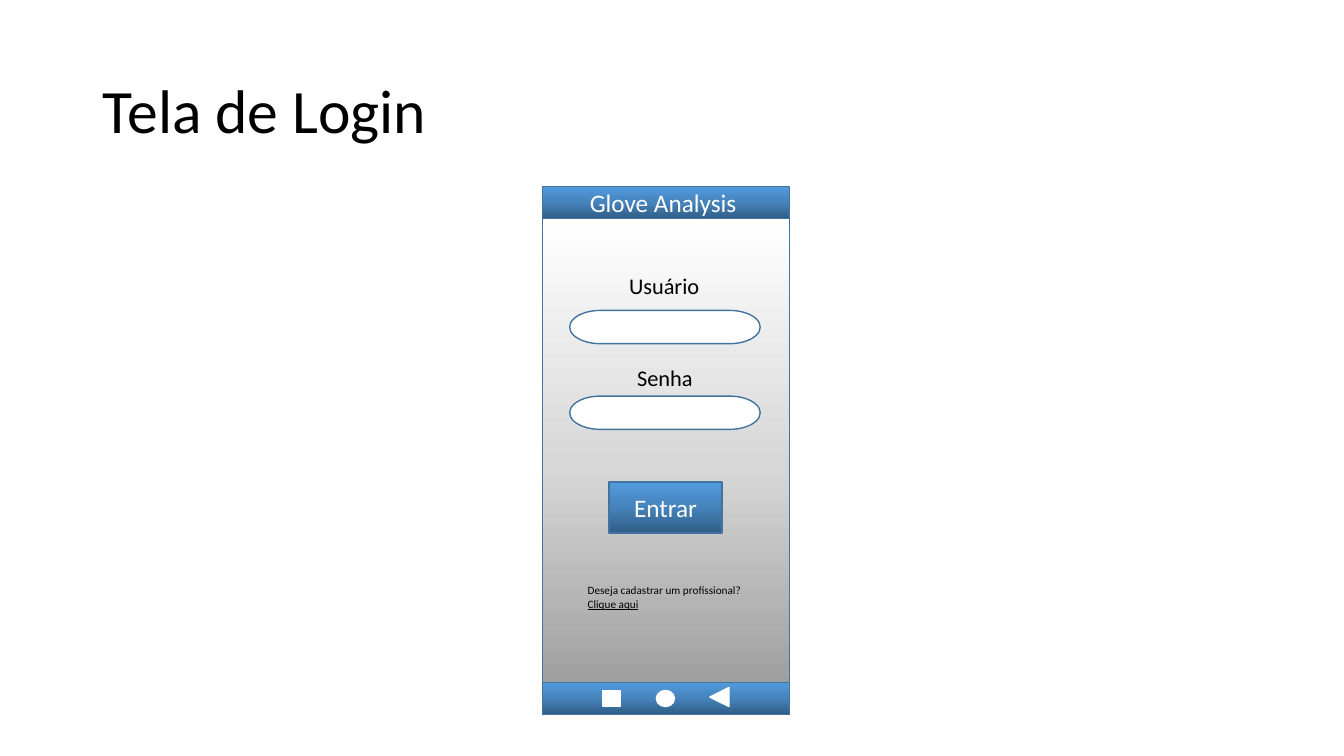
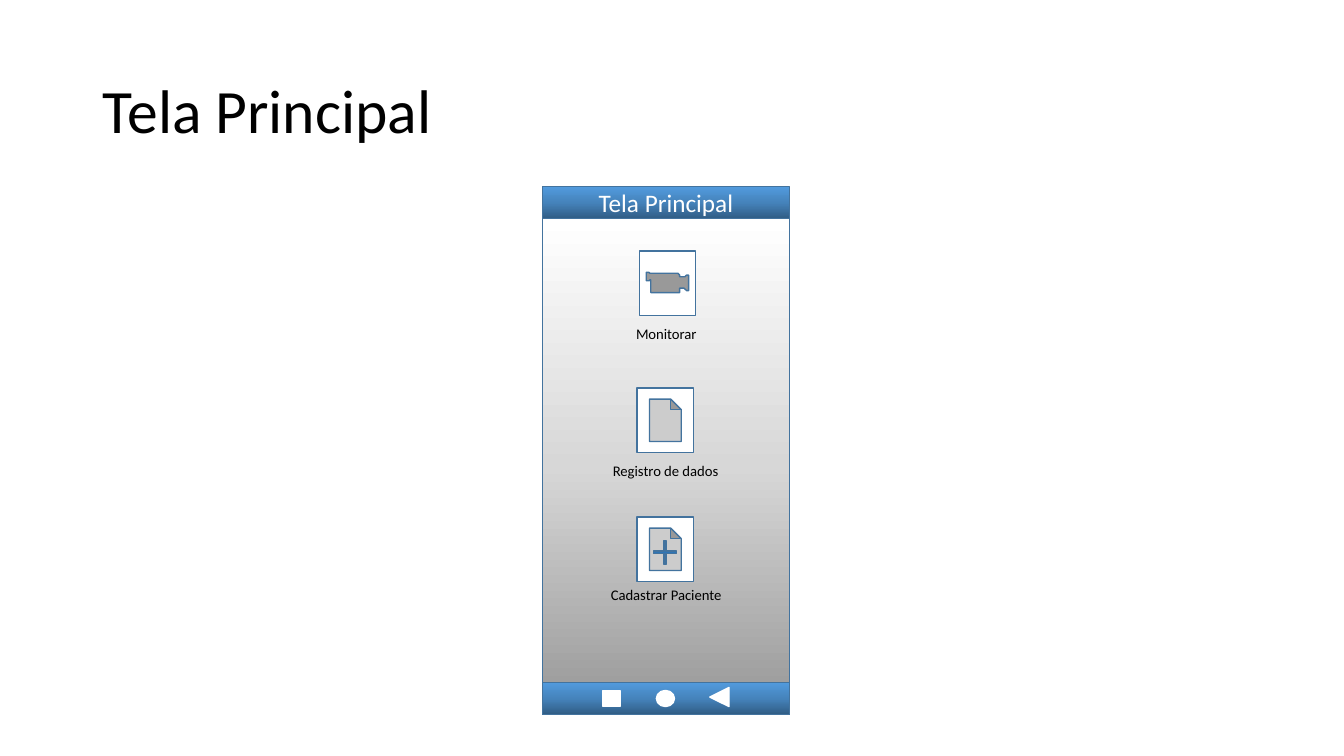
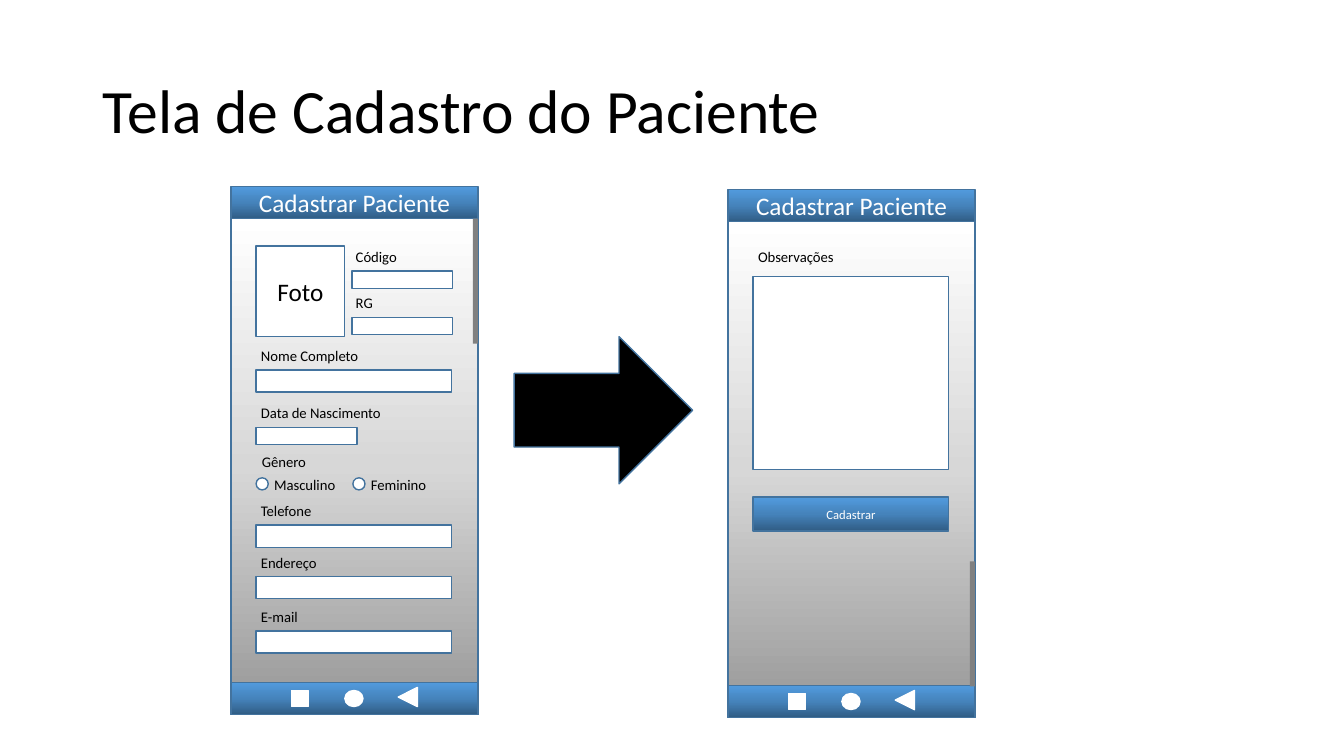
from dataclasses import dataclass

from lxml import etree
from pptx import Presentation
from pptx import util as u
from pptx.dml.color import RGBColor
from pptx.enum import shapes, text
from pptx.oxml import ns

Kind = shapes.MSO_SHAPE


@dataclass(frozen=True)
class Theme:
    """Colours, font and type sizes shared by all slides."""
    font: str = "Calibri"
    ink: str = "000000"
    paper: str = "FFFFFF"
    edge: str = "43739E"
    plus: str = "2E75B6"
    scroll: str = "808080"
    blue: tuple = ("305C84", "4583BB", "529BDE")
    gray: tuple = ("979797", "D7D7D7", "FFFFFF")
    title: float = 44
    head: float = 18
    field: float = 16
    label: float = 10.5
    button: float = 9
    note: float = 8


class Deck:
    """Holds the theme and the current slide, and draws elements on it."""

    def __init__(self, theme):
        """Start a wide, empty presentation."""
        self.theme = theme
        self.file = Presentation()
        self.file.slide_width = u.Inches(13.33)
        self.file.slide_height = u.Inches(7.5)
        self.slide = None

    def page(self, words):
        """Add a slide with its title."""
        self.slide = self.file.slides.add_slide(self.file.slide_layouts[5])
        title = self.slide.shapes.title
        title.left, title.top, title.width, title.height = map(
            u.Inches, (0.92, 0.4, 11.5, 1.45))
        frame = title.text_frame
        frame.text = words
        frame.auto_size = text.MSO_AUTO_SIZE.NONE
        frame.vertical_anchor = text.MSO_ANCHOR.MIDDLE
        line = frame.paragraphs[0]
        line.alignment = text.PP_ALIGN.LEFT
        line.line_spacing = 0.9
        self.style(frame, self.theme.title, self.theme.ink)

    def style(self, frame, size, color):
        """Format every run of a text frame."""
        for line in frame.paragraphs:
            for run in line.runs:
                run.font.name = self.theme.font
                run.font.size = u.Pt(size)
                run.font.color.rgb = RGBColor.from_string(color)

    def blend(self, shape, colors):
        """Fill a shape with evenly spaced colours, from bottom to top."""
        shape.fill.gradient()
        shape.fill.gradient_angle = 90
        stops = shape._element.spPr.find(".//" + ns.qn("a:gsLst"))
        for stop in list(stops):
            stops.remove(stop)
        step = 100000 // (len(colors) - 1)
        for i, color in enumerate(colors):
            stop = etree.SubElement(stops, ns.qn("a:gs"), pos=str(i * step))
            etree.SubElement(stop, ns.qn("a:srgbClr"), val=color)

    def shape(self, kind, x, y, w, h, fill=None, edge=None):
        """Add a preset shape; a tuple of colours makes a gradient."""
        item = self.slide.shapes.add_shape(kind, *map(u.Inches, (x, y, w, h)))
        item.shadow.inherit = False
        fill = fill or self.theme.paper
        if isinstance(fill, tuple):
            self.blend(item, fill)
        else:
            item.fill.solid()
            item.fill.fore_color.rgb = RGBColor.from_string(fill)
        item.line.color.rgb = RGBColor.from_string(edge or self.theme.edge)
        item.line.width = u.Pt(1)
        return item

    def panel(self, words, x, y, w, h, size, fill=None, color=None):
        """Add a rectangle with centred words."""
        item = self.shape(Kind.RECTANGLE, x, y, w, h, fill)
        frame = item.text_frame
        frame.text = words
        frame.vertical_anchor = text.MSO_ANCHOR.MIDDLE
        frame.paragraphs[0].alignment = text.PP_ALIGN.CENTER
        self.style(frame, size, color or self.theme.paper)

    def label(self, words, x, y, w, h=0.28, size=None, wrap=False):
        """Add a text box and return its frame."""
        box = self.slide.shapes.add_textbox(*map(u.Inches, (x, y, w, h)))
        frame = box.text_frame
        frame.text = words
        frame.word_wrap = wrap
        frame.auto_size = text.MSO_AUTO_SIZE.SHAPE_TO_FIT_TEXT
        self.style(frame, size or self.theme.label, self.theme.ink)
        return frame

    def phone(self, words, x, y=1.85):
        """Draw a phone screen with header and navigation bar."""
        look = self.theme
        self.shape(Kind.RECTANGLE, x, y + 0.32, 2.45, 4.92, look.gray)
        self.shape(Kind.RECTANGLE, x, y + 4.92, 2.45, 0.32, look.blue)
        self.panel(words, x, y, 2.45, 0.32, look.head, look.blue)
        keys = ((Kind.RECTANGLE, 0.6, 5, 0.17, 0.16),
                (Kind.OVAL, 1.13, 5, 0.18, 0.16),
                (Kind.ISOSCELES_TRIANGLE, 1.66, 4.97, 0.19, 0.19))
        for kind, dx, dy, w, h in keys:
            key = self.shape(kind, x + dx, y + dy, w, h, edge=look.paper)
        key.rotation = 270

    def scroll(self, x, y):
        """Draw a scroll bar without outline."""
        bar = self.shape(Kind.RECTANGLE, x, y, 0.05, 1.24, self.theme.scroll)
        bar.line.fill.background()

    def radio(self, words, x, y, w):
        """Draw a radio button with its label."""
        self.shape(Kind.OVAL, x, y, 0.12, 0.12)
        self.label(words, x + 0.08, y - 0.07, w)


def login(deck):
    """Build the login slide."""
    look = deck.theme
    deck.page("Tela de Login")
    deck.phone("Glove Analysis\u00a0", 5.38)
    for words, x, y, w, top in (("Usuário", 6.14, 2.65, 0.91, 3.08),
                                ("Senha", 6.22, 3.56, 0.76, 3.93)):
        deck.label(words, x, y, w, 0.37, look.field)
        deck.shape(Kind.FLOWCHART_TERMINATOR, 5.65, top, 1.89, 0.33)
    deck.panel("Entrar", 6.04, 4.78, 1.12, 0.51, look.head, look.blue)
    note = deck.label("Deseja cadastrar um profissional?\nClique aqui",
                      5.73, 5.74, 1.74, 0.37, look.note)
    note.paragraphs[1].runs[0].font.underline = True


def main(deck):
    """Build the main menu slide."""
    deck.page("Tela Principal")
    deck.phone("Tela Principal", 5.38)
    sheet = Kind.ACTION_BUTTON_DOCUMENT
    menu = (
        (Kind.ACTION_BUTTON_MOVIE, 6.34, 2.49, "Monitorar", 6.21, 3.17, 0.81),
        (sheet, 6.32, 3.85, "Registro de dados", 5.98, 4.53, 1.27),
        (sheet, 6.32, 5.13, "Cadastrar Paciente", 5.96, 5.76, 1.33),
    )
    for kind, x, y, words, left, top, w in menu:
        deck.shape(kind, x, y, 0.56, 0.64)
        deck.label(words, left, top, w)
    plus = deck.shape(Kind.CROSS, 6.48, 5.36, 0.23, 0.24, deck.theme.plus)
    plus.adjustments[0] = 0.458


def patient(deck):
    """Build the patient form slide."""
    look = deck.theme
    deck.page("Tela de Cadastro do Paciente")
    deck.phone("Cadastrar Paciente", 2.29)
    deck.panel("Foto", 2.54, 2.44, 0.88, 0.9, look.head, look.paper, look.ink)
    for words, y in (("Código", 2.41), ("RG", 2.87)):
        deck.label(words, 3.43, y, 0.72, wrap=True)
        deck.shape(Kind.RECTANGLE, 3.49, y + 0.28, 1, 0.17)
    form = (("Nome Completo", 3.39, 1.18, 1.94, 0.22),
            ("Data de Nascimento", 3.96, 1.41, 1, 0.17),
            ("Telefone", 4.93, 0.73, 1.94, 0.22),
            ("Endereço", 5.44, 0.77, 1.94, 0.22),
            ("E-mail", 5.98, 0.57, 1.94, 0.22))
    for words, y, w, wide, high in form:
        deck.label(words, 2.49, y, w)
        deck.shape(Kind.RECTANGLE, 2.54, y + 0.28, wide, high)
    deck.label("Gênero", 2.5, 4.44, 0.65)
    deck.radio("Masculino", 2.54, 4.74, 0.82)
    deck.radio("Feminino", 3.5, 4.74, 0.76)

    deck.phone("Cadastrar Paciente", 7.22, 1.88)
    deck.label("Observações", 7.42, 2.41, 0.97)
    deck.shape(Kind.RECTANGLE, 7.47, 2.74, 1.94, 1.92)
    deck.panel("Cadastrar", 7.47, 4.93, 1.94, 0.34, look.button, look.blue)
    deck.shape(Kind.RIGHT_ARROW, 5.1, 3.34, 1.77, 1.46, look.ink)
    deck.scroll(4.69, 2.17)
    deck.scroll(9.62, 5.57)


deck = Deck(Theme())
for build in (login, main, patient):
    build(deck)
deck.file.save("out.pptx")
